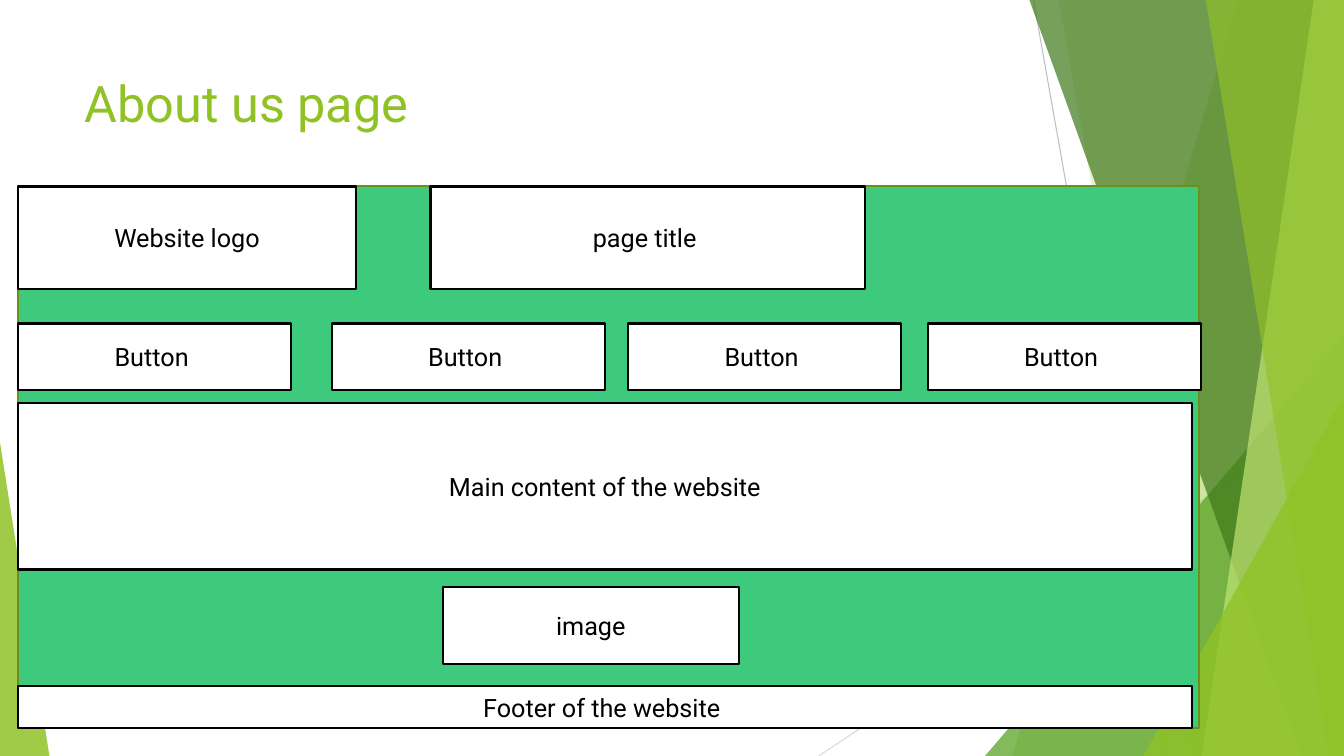
from lxml.etree import SubElement
from pptx import Presentation
from pptx.dml.color import RGBColor
from pptx.enum.shapes import MSO_CONNECTOR, MSO_SHAPE
from pptx.enum.text import MSO_ANCHOR, PP_ALIGN
from pptx.oxml.ns import qn
from pptx.util import Inches, Pt

GREEN = "90C226"
LEFT, TOP = 0.18, 1.85
WIDE = 11.64
HEADER_H = 1.02


def color(hex_value):
    """Turn a hex string into a colour."""
    return RGBColor.from_string(hex_value)


def apply(target, values):
    """Set every attribute of target that values names."""
    for name, value in values.items():
        setattr(target, name, value)


class Wireframe:
    """Holds the style and the current slide of a page wireframe."""

    font = "Roboto"
    box_text = {"size": Pt(18), "name": font}
    title_text = {"size": Pt(36), "name": font}
    frame = {"word_wrap": True, "vertical_anchor": MSO_ANCHOR.MIDDLE}
    title_frame = {"word_wrap": True, "vertical_anchor": MSO_ANCHOR.TOP}

    def __init__(self, prs):
        """Add a title-only slide to the presentation."""
        self.s = prs.slides.add_slide(prs.slide_layouts[5])

    def label(self, tf, text, frame, font, hex_value, align):
        """Put one formatted paragraph in a text frame."""
        apply(tf, frame)
        p = tf.paragraphs[0]
        p.alignment = align
        r = p.add_run()
        r.text = text
        apply(r.font, font)
        r.font.color.rgb = color(hex_value)

    def title(self, text, *box):
        """Place the title in front of everything drawn so far."""
        sp = self.s.shapes.title
        apply(sp, dict(zip(("left", "top", "width", "height"), map(Inches, box))))
        self.label(sp.text_frame, text, self.title_frame, self.title_text,
                   GREEN, PP_ALIGN.LEFT)
        sp.element.getparent().append(sp.element)

    def line(self, start, end, hex_value):
        """Draw a thin straight line."""
        c = self.s.shapes.add_connector(
            MSO_CONNECTOR.STRAIGHT, *map(Inches, start + end))
        c.line.color.rgb = color(hex_value)
        c.line.width = Pt(0.75)
        SubElement(c.element.spPr, qn("a:effectLst"))

    def tint(self, sp, hex_value, opacity):
        """Give a shape a translucent fill and no outline."""
        sp.shadow.inherit = False
        sp.fill.solid()
        sp.fill.fore_color.rgb = color(hex_value)
        clr = sp.element.spPr.find(".//" + qn("a:srgbClr"))
        SubElement(clr, qn("a:alpha")).set("val", str(opacity * 1000))
        sp.line.fill.background()

    def band(self, top_x, bottom_x, hex_value, opacity):
        """Fill the area between a slanted edge and the right slide edge."""
        points = [(Inches(x), Inches(y)) for x, y in
                  ((top_x, 0), (13.33, 0), (13.33, 7.5), (bottom_x, 7.5))]
        builder = self.s.shapes.build_freeform(*points[0])
        builder.add_line_segments(points[1:], close=True)
        self.tint(builder.convert_to_shape(), hex_value, opacity)

    def triangle(self, box, apex, hex_value, opacity):
        """Draw a translucent triangle with its apex at one side."""
        sp = self.s.shapes.add_shape(
            MSO_SHAPE.ISOSCELES_TRIANGLE, *map(Inches, box))
        sp.adjustments[0] = apex
        self.tint(sp, hex_value, opacity)

    def box(self, x, y, w, h, text="", fill="FFFFFF", outline="000000"):
        """Draw an outlined box with an optional centred label."""
        sp = self.s.shapes.add_shape(
            MSO_SHAPE.RECTANGLE, *map(Inches, (x, y, w, h)))
        sp.shadow.inherit = False
        sp.fill.solid()
        sp.fill.fore_color.rgb = color(fill)
        sp.line.color.rgb = color(outline)
        sp.line.width = Pt(1.5)
        if text:
            self.label(sp.text_frame, text, self.frame, self.box_text,
                       "000000", PP_ALIGN.CENTER)

    def backdrop(self):
        """Draw the green facets behind the content."""
        self.line((10.25, 0), (11.58, 7.5), "BFBFBF")
        self.line((13.33, 4.03), (8.12, 7.5), "D9D9D9")
        self.band(12.28, 10.04, GREEN, 30)
        self.band(10.5, 11.83, GREEN, 20)
        self.triangle((9.77, 3.33, 3.56, 4.17), 1, "54A021", 72)
        self.band(10.21, 12.91, "3F7819", 70)
        self.band(13.03, 11.92, "C0E474", 70)
        self.band(11.96, 13.18, GREEN, 65)
        self.triangle((11.34, 3.93, 1.99, 3.57), 1, GREEN, 80)
        self.triangle((0, 4.39, 0.49, 3.11), 0, GREEN, 85)


def main():
    """Build the slide and save it."""
    prs = Presentation()
    apply(prs, {"slide_width": Inches(13.33), "slide_height": Inches(7.5)})
    page = Wireframe(prs)
    page.backdrop()
    page.title("About us page", 0.74, 0.67, 9.4, 1.44)
    page.box(LEFT, TOP, 11.71, 5.37, fill="3ECA7D", outline="6B901C")
    page.box(LEFT, 4, WIDE, 1.65, "Main content of the website")
    page.box(LEFT, TOP, 3.35, HEADER_H, "Website logo")
    page.box(LEFT, 6.81, WIDE, 0.41, "Footer of the website ")
    page.box(4.27, TOP, 4.31, HEADER_H, "page title ")
    for x in (LEFT, 3.29, 6.23, 9.2):
        page.box(x, 3.21, 2.71, 0.66, "Button ")
    page.box(4.39, 5.82, 2.94, 0.77, "image")
    prs.save("out.pptx")


if __name__ == "__main__":
    main()
